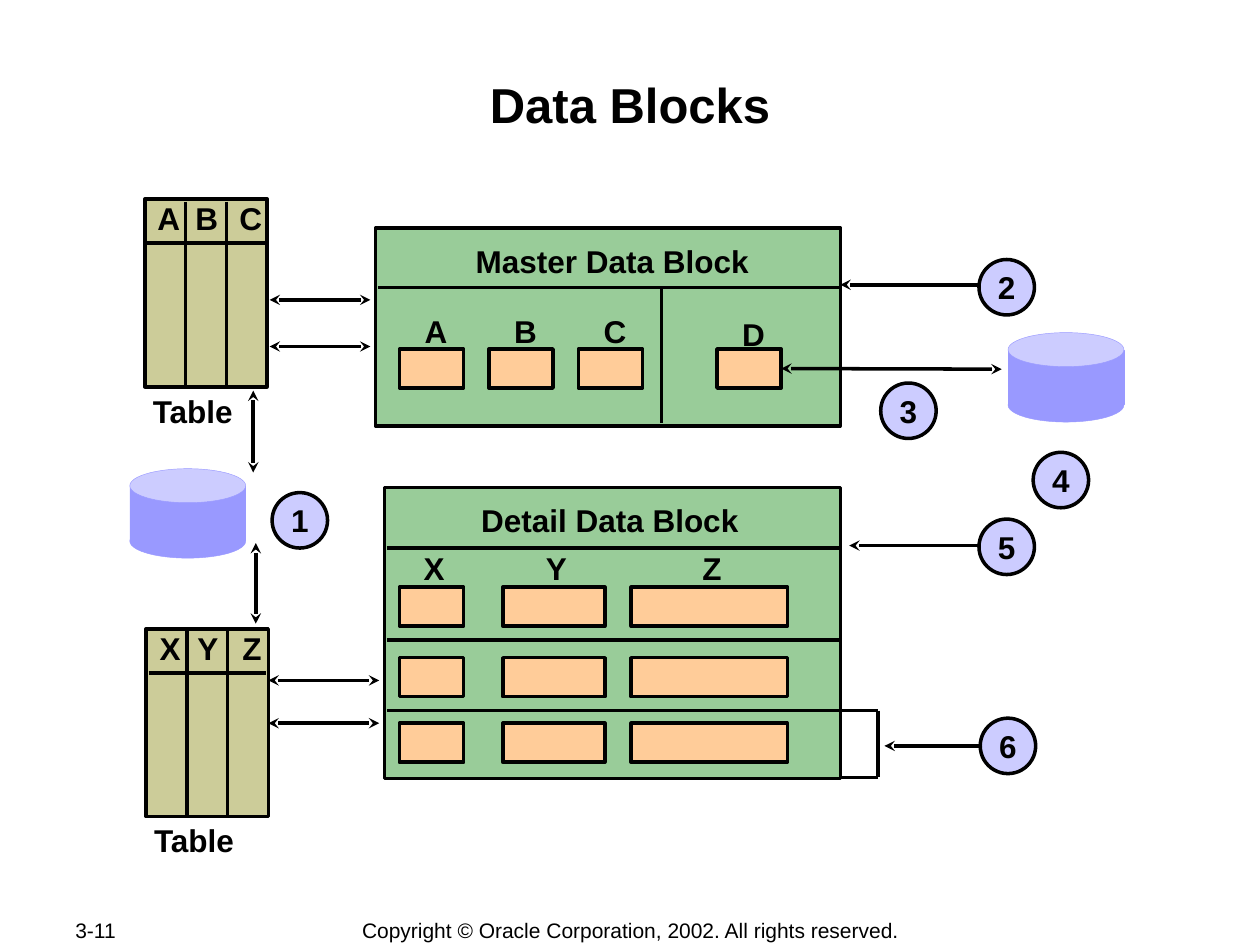
from lxml import etree
from pptx import Presentation
from pptx.dml.color import RGBColor
from pptx.enum.shapes import MSO_CONNECTOR, MSO_SHAPE
from pptx.enum.text import MSO_ANCHOR, MSO_AUTO_SIZE, PP_ALIGN
from pptx.oxml.ns import qn
from pptx.util import Inches, Pt

RECT, OVAL = MSO_SHAPE.RECTANGLE, MSO_SHAPE.OVAL
STRAIGHT = MSO_CONNECTOR.STRAIGHT
TOP, MIDDLE = MSO_ANCHOR.TOP, MSO_ANCHOR.MIDDLE
LEFT, CENTER = PP_ALIGN.LEFT, PP_ALIGN.CENTER
NO_FIT = MSO_AUTO_SIZE.NONE
RIGHT_SIDE = 3

COLORS = {
    "ink": "000000", "table": "CCCC99", "block": "99CC99", "field": "FFCC99",
    "badge": "CCCCFF", "disk": "9999FF", "disk_top": "CCCCFF",
}


def color(name):
    return RGBColor.from_string(COLORS[name])


def write(box, text, size=18, bold=True, align=CENTER, anchor=TOP, wrap=False, margin=None):
    frame = box.text_frame
    settings = {"auto_size": NO_FIT, "word_wrap": wrap, "vertical_anchor": anchor}
    if margin is not None:
        for side in ("left", "top", "right", "bottom"):
            settings["margin_" + side] = Inches(margin)
    for key, value in settings.items():
        setattr(frame, key, value)
    para = frame.paragraphs[0]
    para.alignment = align
    span = para.add_run()
    span.text = text
    for key, value in {"name": "Arial", "size": Pt(size), "bold": bold}.items():
        setattr(span.font, key, value)
    span.font.color.rgb = color("ink")


def add_label(page, text, left, top, width=0.38, height=0.4, **options):
    box = page.shapes.add_textbox(Inches(left), Inches(top), Inches(width), Inches(height))
    write(box, text, **options)


def add_figure(shapes, kind, left, top, width, height, fill, line="ink", weight=2):
    figure = shapes.add_shape(kind, Inches(left), Inches(top), Inches(width), Inches(height))
    figure.shadow.inherit = False
    figure.fill.solid()
    figure.fill.fore_color.rgb = color(fill)
    figure.line.color.rgb = color(line)
    figure.line.width = Pt(weight)
    return figure


def add_line(page, x1, y1, x2, y2, heads=()):
    line = page.shapes.add_connector(STRAIGHT, Inches(x1), Inches(y1), Inches(x2), Inches(y2))
    line.line.color.rgb = color("ink")
    line.line.width = Pt(2)
    properties = line._element.spPr
    outline = properties.find(qn("a:ln"))
    for head in heads:
        etree.SubElement(outline, qn("a:" + head), type="stealth")
    etree.SubElement(properties, qn("a:effectLst"))
    return line


def add_arrow(page, x1, y1, x2, y2, both=True):
    return add_line(page, x1, y1, x2, y2, ("headEnd", "tailEnd") if both else ("headEnd",))


def add_table_sketch(page, left, top, names):
    width, height = 0.97, 1.49
    add_figure(page.shapes, RECT, left, top, width, height, "table")
    for step in (1, 2):
        x = left + step * width / 3
        add_line(page, x, top + 0.02, x, top + height)
    add_line(page, left + 0.02, top + 0.35, left + width - 0.02, top + 0.35)
    for name, offset in zip(names, (0, 0.3, 0.65)):
        add_label(page, name, left + offset, top - 0.05)
    add_label(page, "Table", left - 0.05, top + height - 0.01, 0.86)


def add_block(page, left, top, width, height, title, title_left, rule):
    add_figure(page.shapes, RECT, left, top, width, height, "block")
    add_line(page, left + 0.02, top + rule, left + width, top + rule)
    add_label(page, title, left + title_left, top + 0.06, 2.3)


def add_field(page, left, top, width=0.51):
    return add_figure(page.shapes, RECT, left, top, width, 0.31, "field")


def add_master_block(page, left, top, width, height):
    add_block(page, left, top, width, height, "Master Data Block", 0.73, 0.47)
    for index, name in enumerate("ABC"):
        x = left + 0.19 + index * 0.71
        add_field(page, x, top + 0.96)
        add_label(page, name, x + 0.1, top + 0.62)
    add_line(page, left + 2.27, top + 0.47, left + 2.27, top + height - 0.02)
    last_field = add_field(page, left + 2.71, top + 0.96)
    add_label(page, "D", left + 2.81, top + 0.64)
    return last_field


def add_detail_block(page, left, top, width, height):
    add_block(page, left, top, width, height, "Detail Data Block", 0.64, 0.48)
    columns = (("X", 0.12, 0.51), ("Y", 0.94, 0.81), ("Z", 1.96, 1.24))
    for row in (0.79, 1.35, 1.87):
        for name, offset, field_width in columns:
            add_field(page, left + offset, top + row, field_width)
    for rule in (1.21, 1.77):
        add_line(page, left + 0.02, top + rule, left + width, top + rule)
    for name, offset, field_width in columns:
        add_label(page, name, left + offset + field_width / 2 - 0.17, top + 0.44)
    right, bracket = left + width, left + width + 0.3
    for y in (top + 1.77, top + height - 0.01):
        add_line(page, right, y, bracket, y)
    add_line(page, bracket, top + 1.77, bracket, top + height - 0.01)


def add_badge(page, number, left, top):
    badge = add_figure(page.shapes, OVAL, left, top, 0.44, 0.44, "badge")
    write(badge, number, anchor=MIDDLE)


def add_database(page, left, top):
    disk = page.shapes.add_group_shape().shapes
    for kind, offset, height, fill in (
        (RECT, 0.14, 0.43, "disk"),
        (OVAL, 0, 0.27, "disk_top"),
        (OVAL, 0.44, 0.27, "disk"),
    ):
        add_figure(disk, kind, left, top + offset, 0.92, height, fill, "disk", 0.25)


def add_title(page, left, top, width, height):
    title = page.shapes.title
    for key, value in zip(("left", "top", "width", "height"), (left, top, width, height)):
        setattr(title, key, Inches(value))
    write(title, "Data Blocks", size=28, wrap=True, margin=0.01)


def add_footer(page, left, top):
    style = {"height": 0.21, "size": 12, "bold": False, "anchor": MIDDLE}
    add_label(page, "3-11", left, top, 1.06, align=LEFT, **style)
    copyright_line = "Copyright © Oracle Corporation, 2002. All rights reserved."
    add_label(page, copyright_line, left + 2.26, top, 4.49, **style)


def add_diagram(page):
    add_table_sketch(page, 1.15, 1.58, "ABC")
    add_table_sketch(page, 1.16, 4.99, "XYZ")
    last_field = add_master_block(page, 2.98, 1.81, 3.69, 1.57)
    add_detail_block(page, 3.05, 3.87, 3.62, 2.31)
    add_arrow(page, 6.2, 2.93, 7.95, 2.93).begin_connect(last_field, RIGHT_SIDE)
    for x1, x2, rows in ((2.14, 2.94, (2.38, 2.75)), (2.13, 3.01, (5.4, 5.74))):
        for y in rows:
            add_arrow(page, x1, y, x2, y)
    for x, y1, y2 in ((2.01, 3.1, 3.75), (2.03, 4.31, 4.95)):
        add_arrow(page, x, y1, x, y2)
    for x1, y, x2 in ((6.67, 2.26, 7.78), (6.74, 4.33, 7.78), (7.02, 5.92, 7.78)):
        add_arrow(page, x1, y, x2, y, both=False)
    places = ((2.16, 3.91), (7.77, 2.06), (6.99, 3.04), (8.2, 3.59), (7.77, 4.12), (7.78, 5.7))
    for number, (left, top) in enumerate(places, 1):
        add_badge(page, str(number), left, top)
    add_database(page, 8, 2.64)
    add_database(page, 1.03, 3.72)


def main():
    deck = Presentation()
    deck.slide_width, deck.slide_height = Inches(10), Inches(7.5)
    page = deck.slides.add_slide(deck.slide_layouts[5])
    add_footer(page, 0.5, 7.28)
    add_title(page, 1, 0.58, 8, 0.96)
    add_diagram(page)
    deck.save("out.pptx")


if __name__ == "__main__":
    main()
